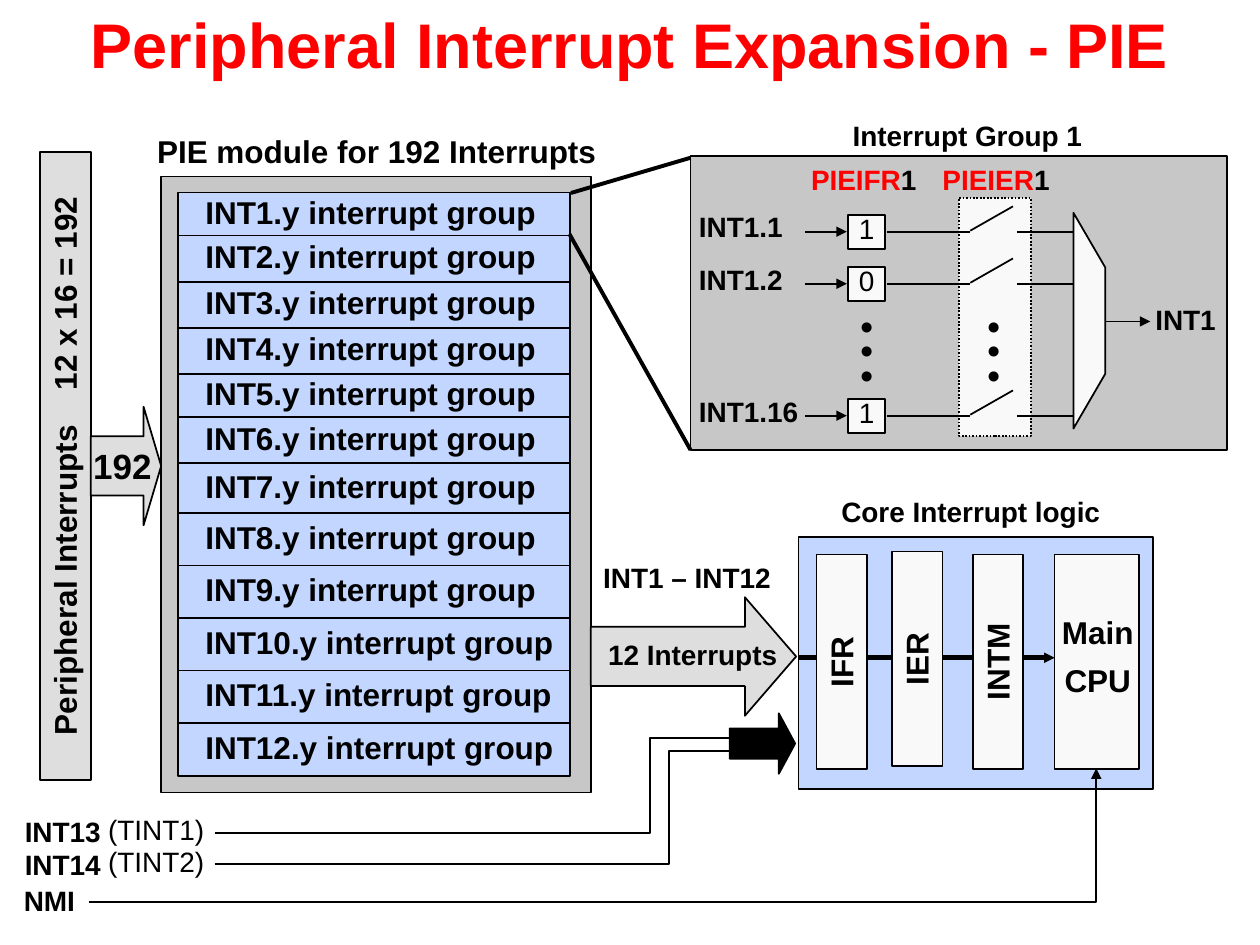
import lxml.etree
import pptx
import pptx.dml.color
import pptx.enum.dml
import pptx.enum.shapes
import pptx.enum.text
import pptx.oxml.ns
import pptx.util

Cm = pptx.util.Cm
SHAPES = pptx.enum.shapes.MSO_SHAPE
CONNECTORS = pptx.enum.shapes.MSO_CONNECTOR
CENTER = pptx.enum.text.PP_ALIGN.CENTER
BLACK, RED = "000000", "FF0000"
GRAY, SILVER, BLUE, PALE = "C7C7C7", "DEDEDE", "C2D6FF", "F9F9F9"
LABEL_H = 0.79


def color(value):
    return pptx.dml.color.RGBColor.from_string(value)


def style(shape, fill=None):
    shape.shadow.inherit = False
    if fill:
        shape.fill.solid()
        shape.fill.fore_color.rgb = color(fill)
    else:
        shape.fill.background()
    shape.line.color.rgb = color(BLACK)
    shape.line.width = pptx.util.Pt(1)
    return shape


def block(slide, left, top, width, height, fill, kind=SHAPES.RECTANGLE):
    return style(slide.shapes.add_shape(kind, Cm(left), Cm(top), Cm(width), Cm(height)), fill)


def right_arrow(slide, left, top, width, height, fill, head):
    arrow = block(slide, left, top, width, height, fill, SHAPES.RIGHT_ARROW)
    arrow.adjustments[1] = head


def set_font(font, size, bold=True, text_color=BLACK):
    font.name = "Arial"
    font.size = pptx.util.Pt(size)
    font.bold = bold
    font.color.rgb = color(text_color)


def write(frame, text, size, bold=True, align=None, spacing=0.8):
    """Each line of the text becomes a paragraph."""
    frame.text = text
    for index, paragraph in enumerate(frame.paragraphs):
        paragraph.alignment = align
        paragraph.line_spacing = spacing
        if index:
            paragraph.space_before = pptx.util.Pt(10)
        set_font(paragraph.font, size, bold)


def label(slide, text, left, top, width, height=LABEL_H, size=16, bold=True,
          align=None, spacing=0.8, wrap=False, rotation=0):
    box = slide.shapes.add_textbox(Cm(left), Cm(top), Cm(width), Cm(height))
    box.rotation = rotation
    frame = box.text_frame
    frame.word_wrap = wrap
    frame.auto_size = pptx.enum.text.MSO_AUTO_SIZE.SHAPE_TO_FIT_TEXT
    write(frame, text, size, bold, align, spacing)
    return frame


def upright_label(slide, text, bar, length, **options):
    """Centre a label, turned to read upwards, in the bar (left, top, width, height)."""
    left, top, width, height = bar
    return label(slide, text, left + (width - length) / 2 + 0.05, top + (height - 0.86) / 2,
                 length, 0.86, size=18, rotation=270, **options)


def line(slide, x1, y1, x2, y2, weight=1, end=None, kind=CONNECTORS.STRAIGHT, head="med"):
    """The end is headEnd or tailEnd, where an arrowhead is put."""
    connector = slide.shapes.add_connector(kind, Cm(x1), Cm(y1), Cm(x2), Cm(y2))
    connector.line.color.rgb = color(BLACK)
    connector.line.width = pptx.util.Pt(weight)
    qn = pptx.oxml.ns.qn
    if end:
        stroke = connector.line._get_or_add_ln()
        lxml.etree.SubElement(stroke, qn("a:" + end), type="triangle", w=head, len=head)
    lxml.etree.SubElement(connector._element.spPr, qn("a:effectLst"))
    return connector


def outline(slide, points, fill=None):
    """The outline is closed when it has a fill."""
    corners = [(Cm(x), Cm(y)) for x, y in points]
    builder = slide.shapes.build_freeform(*corners[0], scale=1.0)
    builder.add_line_segments(corners[1:], close=fill is not None)
    style(builder.convert_to_shape(), fill)


def heading(slide, text):
    title = slide.shapes.title
    title.left, title.top, title.width, title.height = 0, 0, Cm(25.4), Cm(2.06)
    title.text_frame.text = text
    title.text_frame.vertical_anchor = pptx.enum.text.MSO_ANCHOR.MIDDLE
    title.text_frame.margin_bottom = Cm(0.45)
    paragraph = title.text_frame.paragraphs[0]
    paragraph.alignment = CENTER
    set_font(paragraph.font, 36, text_color=RED)


def interrupt_group(slide, left, top, width, height):
    block(slide, left, top, width, height, GRAY)
    enable = block(slide, left + 5.41, top + 0.84, 1.45, 4.8, PALE)
    enable.line.dash_style = pptx.enum.dml.MSO_LINE.ROUND_DOT
    label(slide, "Interrupt Group 1", left + 3.02, top - 0.76, 5.16)
    for register, x in (("PIEIFR", 2.18), ("PIEIER", 4.83)):
        paragraph = label(slide, register, left + x, top + 0.13, 2.75).paragraphs[0]
        number = paragraph.add_run()
        number.text = "1"
        for run, text_color in zip(paragraph.runs, (RED, BLACK)):
            set_font(run.font, 16, text_color=text_color)

    for source, flag, offset, name_w in (("INT1.1", "1", 1.52, 2.21), ("INT1.2", "0", 2.57, 2.21),
                                         ("INT1.16", "1", 5.23, 2.54)):
        y = top + offset
        label(slide, source, left - 0.08, y - 0.43, name_w)
        line(slide, left + 2.31, y, left + 3.15, y, end="tailEnd")
        bit = block(slide, left + 3.18, y - 0.34, 0.74, 0.69, PALE).text_frame
        bit.word_wrap = False
        bit.vertical_anchor = pptx.enum.text.MSO_ANCHOR.MIDDLE
        write(bit, flag, 16, bold=False, align=CENTER)
        line(slide, left + 3.96, y, left + 5.64, y)
        line(slide, left + 5.64, y - 0.02, left + 6.5, y - 0.51)
        line(slide, left + 6.58, y, left + 7.75, y)

    for x in (3.18, 5.74):
        for step in range(3):
            label(slide, "•", left + x, top + 3.02 + 0.5 * step, 0.76, 0.94, size=20)

    mux = ((7.72, 5.49), (8.36, 4.39), (8.36, 2.24), (7.72, 1.14))
    outline(slide, [(left + x, top + y) for x, y in mux], PALE)
    line(slide, left + 8.36, top + 3.33, left + 9.27, top + 3.33, end="tailEnd")
    label(slide, "INT1", left + 9.12, top + 2.95, 1.73)


def core_logic(slide, left, top, width, height):
    block(slide, left, top, width, height, BLUE)
    label(slide, "Core Interrupt logic", left + 0.61, top - 0.84, 5.97)
    line(slide, left, top + 2.44, left + 5.16, top + 2.44, weight=3, end="tailEnd", head="sm")
    for register, x, y, length in (("IFR", 0.36, 0.36, 1.65), ("IER", 1.88, 0.3, 1.65),
                                   ("INTM", 3.51, 0.36, 2.15)):
        bar = (left + x, top + y, 1.02, 4.32)
        block(slide, *bar, PALE)
        upright_label(slide, register, bar, length, align=CENTER)
    block(slide, left + 5.16, top + 0.36, 1.7, 4.32, PALE)
    label(slide, "Main\nCPU", left + 5, top + 1.57, 2.06, 1.88, size=18, align=CENTER, wrap=True)


def pie_module(slide, left, top, width, height):
    title = label(slide, "PIE module for 192 Interrupts", left - 0.38, top - 1.02, 9.45, 1.02,
                  size=18, align=CENTER, spacing=1, wrap=True)
    title.margin_left = title.margin_right = 0
    block(slide, left, top, width, height, GRAY)
    row_top = top + 0.32
    row_heights = [0.87, 0.93, 0.93, 0.93, 0.87, 0.93, 1] + [1.06] * 5
    for number, row_h in enumerate(row_heights, start=1):
        block(slide, left + 0.34, row_top, 7.9, row_h, BLUE)
        label(slide, f"INT{number}.y interrupt group", left + 0.64,
              row_top + (row_h - 0.86) / 2 + 0.02, 7.19 if number < 10 else 7.54, 0.86, size=18)
        row_top += row_h


def peripherals(slide, left, top, width, height):
    bar = (left, top, width, height)
    block(slide, *bar, SILVER)
    caption = upright_label(slide, "Peripheral Interrupts", bar, 12.62, align=CENTER, wrap=True)
    gap, count = (caption.paragraphs[0].add_run() for _ in range(2))
    gap.text, count.text = " ", "12 x 16 = 192"
    gap._r.get_or_add_rPr().set("spc", "1500")
    right_arrow(slide, left + width, top + 5.13, 1.42, 2.39, SILVER, 0.25)
    label(slide, "192", left + width - 0.2, top + 5.94, 1.88, 0.94, size=20, wrap=True)


def core_feed(slide, left, top, width, height):
    """The arrow that leads from the PIE module to the core."""
    label(slide, "INT1 – INT12", left, top - 0.74, 3.94)
    right_arrow(slide, left, top, width, height, SILVER, 0.432)
    label(slide, "12 Interrupts", left + 0.1, top + 0.81, 3.94)


def direct_inputs(slide, left, top, width):
    """The interrupts that reach the core past the PIE module."""
    right_arrow(slide, left + 14.46, top, 1.32, 1.22, BLACK, 0.269)
    for name, timer, name_y, wire_y, bend_x, entry_y in (
            ("INT13", "(TINT1)", 2.05, 2.41, 12.86, 0.5),
            ("INT14", "(TINT2)", 2.71, 3.04, 13.24, 0.76)):
        label(slide, name, left, top + name_y, 2.06)
        label(slide, timer, left + 1.68, top + name_y - 0.05, 2.46, bold=False)
        wire = ((4.08, wire_y), (bend_x, wire_y), (bend_x, entry_y), (14.48, entry_y))
        outline(slide, [(left + x, top + y) for x, y in wire])

    label(slide, "NMI", left - 0.02, top + 3.43, 1.55)
    run, rise = width - 1.55, 2.7
    mid_x, mid_y = left + 1.55 + run / 2, top + 1.11 + rise / 2
    elbow = line(slide, mid_x - rise / 2, mid_y - run / 2, mid_x + rise / 2, mid_y + run / 2,
                 end="headEnd", kind=CONNECTORS.ELBOW)
    properties = elbow._element.spPr
    properties.find(pptx.oxml.ns.qn("a:xfrm")).set("rot", "5400000")
    properties.find(pptx.oxml.ns.qn("a:prstGeom")).set("prst", "bentConnector2")


def main():
    deck = pptx.Presentation()
    deck.slide_width, deck.slide_height = Cm(25.4), Cm(19.05)
    slide = deck.slides.add_slide(deck.slide_layouts[5])
    heading(slide, "Peripheral Interrupt Expansion - PIE")
    interrupt_group(slide, 13.92, 3.15, 10.82, 5.92)
    core_logic(slide, 16.1, 10.82, 7.14, 5.08)
    pie_module(slide, 3.25, 3.56, 8.66, 12.42)
    core_feed(slide, 11.91, 12.04, 4.14, 2.39)
    peripherals(slide, 0.81, 3.07, 1.02, 12.65)
    line(slide, 11.51, 3.89, 13.92, 3.18, weight=2.25)
    line(slide, 11.48, 4.72, 13.92, 9.07, weight=2.25)
    direct_inputs(slide, 0.25, 14.38, 21.85)
    deck.save("out.pptx")


if __name__ == "__main__":
    main()
